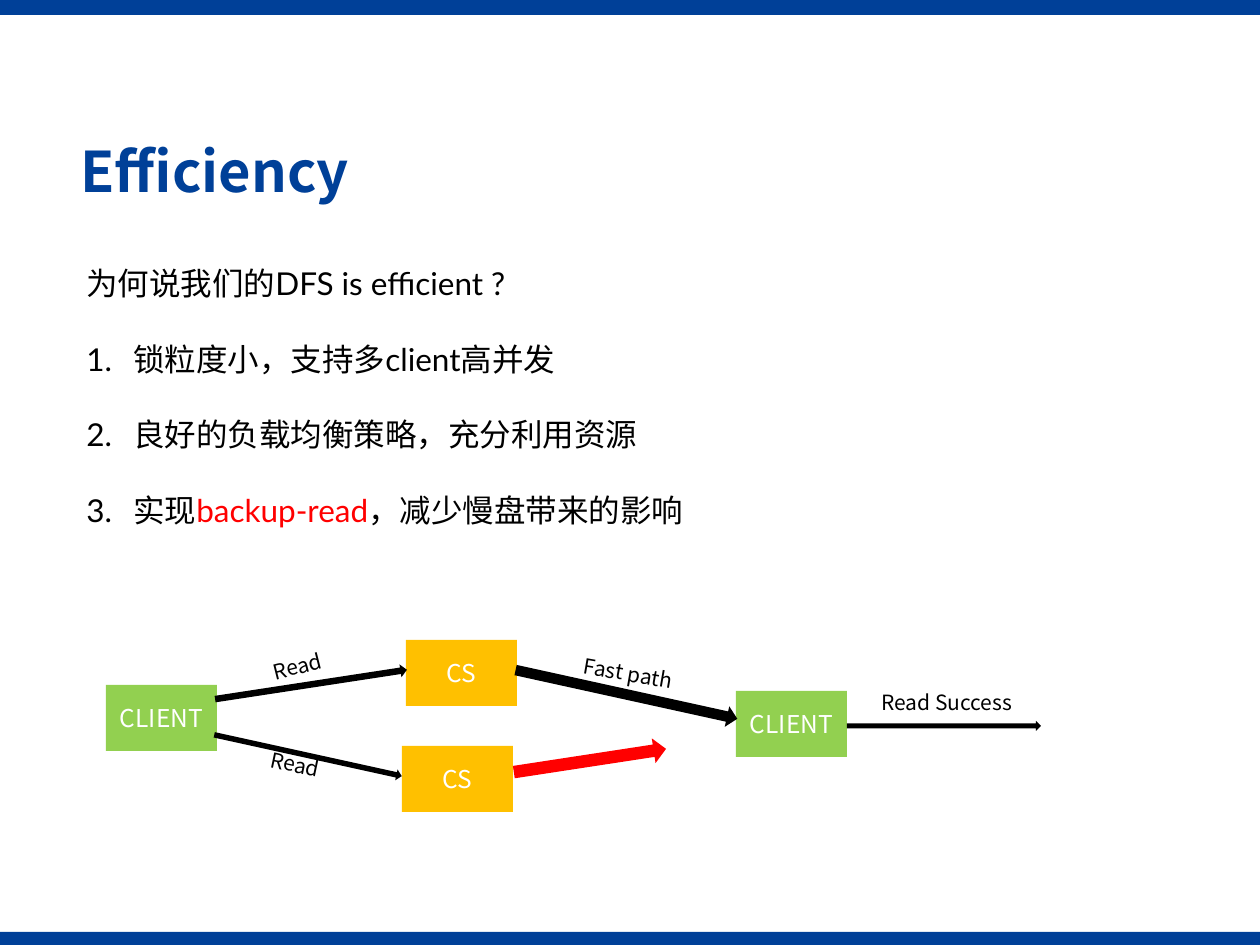
import dataclasses

import lxml.etree
import pptx
import pptx.dml.color
import pptx.enum.shapes
import pptx.enum.text
import pptx.oxml.ns
import pptx.util

PX_PER_INCH = 126


def px(length):
    return pptx.util.Inches(length / PX_PER_INCH)


@dataclasses.dataclass(frozen=True)
class Theme:
    navy: str = "004098"
    black: str = "000000"
    white: str = "FFFFFF"
    red: str = "FF0000"
    green: str = "92D050"
    amber: str = "FFC000"
    heading_font: str = "Noto Sans CJK SC"
    body_font: str = "Lato"
    title_size: int = 32
    body_size: int = 18
    node_size: int = 14
    label_size: int = 12
    body_gap: float = 21.6


class SlideBuilder:
    def __init__(self, slide, theme):
        self.slide = slide
        self.theme = theme

    def style(self, run, font, size, color, bold=False):
        run.font.name = font
        run.font.size = pptx.util.Pt(size)
        run.font.bold = bold
        run.font.color.rgb = pptx.dml.color.RGBColor.from_string(color)

    def block(self, kind, box, fill, rotation=0):
        shape = self.slide.shapes.add_shape(kind, *map(px, box))
        shape.shadow.inherit = False
        shape.fill.solid()
        shape.fill.fore_color.rgb = pptx.dml.color.RGBColor.from_string(fill)
        shape.line.fill.background()
        shape.rotation = rotation
        return shape

    def bar(self, box):
        self.block(pptx.enum.shapes.MSO_SHAPE.RECTANGLE, box, self.theme.navy)

    def arrow(self, box, rotation, fill):
        self.block(pptx.enum.shapes.MSO_SHAPE.RIGHT_ARROW, box, fill, rotation)

    def node(self, left, top, name, fill):
        node = self.block(pptx.enum.shapes.MSO_SHAPE.RECTANGLE,
                          (left, top, 111, 66), fill)
        frame = node.text_frame
        frame.text = name
        frame.vertical_anchor = pptx.enum.text.MSO_ANCHOR.MIDDLE
        frame.paragraphs[0].alignment = pptx.enum.text.PP_ALIGN.CENTER
        self.style(frame.paragraphs[0].runs[0], self.theme.heading_font,
                   self.theme.node_size, self.theme.white)

    def textbox(self, box, rotation=0):
        text = self.slide.shapes.add_textbox(*map(px, box))
        text.rotation = rotation
        text.text_frame.word_wrap = True
        return text.text_frame

    def title(self, box, wording):
        frame = self.textbox(box)
        frame.text = wording
        frame.vertical_anchor = pptx.enum.text.MSO_ANCHOR.MIDDLE
        frame.paragraphs[0].line_spacing = 0.9
        self.style(frame.paragraphs[0].runs[0], self.theme.heading_font,
                   self.theme.title_size, self.theme.navy, bold=True)

    def label(self, box, rotation, wording):
        frame = self.textbox(box, rotation)
        frame.text = wording
        self.style(frame.paragraphs[0].runs[0], self.theme.heading_font,
                   self.theme.label_size, self.theme.black)

    def number(self, paragraph, indent):
        properties = paragraph._p.get_or_add_pPr()
        properties.set("marL", str(px(indent)))
        properties.set("indent", str(-px(indent)))
        lxml.etree.SubElement(properties, pptx.oxml.ns.qn("a:buAutoNum"),
                              type="arabicPeriod")

    def body(self, box, question, reasons):
        frame = self.textbox(box)
        for index, parts in enumerate([question, *reasons]):
            paragraph = frame.add_paragraph() if index else frame.paragraphs[0]
            if index:
                paragraph.space_before = pptx.util.Pt(self.theme.body_gap)
                self.number(paragraph, 47)
            for wording, color in parts:
                run = paragraph.add_run()
                run.text = wording
                self.style(run, self.theme.body_font, self.theme.body_size, color)
                # Chinese glyphs share the body font's line height
                properties = run._r.get_or_add_rPr()
                properties.set("lang", "zh-CN")
                lxml.etree.SubElement(properties, pptx.oxml.ns.qn("a:ea"),
                                      typeface=self.theme.body_font)


def main():
    theme = Theme()
    deck = pptx.Presentation()
    deck.slide_width, deck.slide_height = px(1260), px(945)
    page = SlideBuilder(deck.slides.add_slide(deck.slide_layouts[6]), theme)

    # Frame and title
    page.bar((0, 932, 1260, 13))
    page.bar((0, 0, 1260, 15))
    page.title((68, 135, 1154, 79), "Efficiency")

    # Question and numbered reasons
    page.body(
        (74, 258, 906, 357),
        [("为何说我们的DFS is efficient ?", theme.black)],
        [
            [("锁粒度小，支持多client高并发", theme.black)],
            [("良好的负载均衡策略，充分利用资源", theme.black)],
            [("实现", theme.black), ("backup-read", theme.red),
             ("，减少慢盘带来的影响", theme.black)],
        ],
    )

    # Clients and chunk servers
    for left, top, name, fill in (
        (106, 685, "CLIENT", theme.green),
        (402, 746, "CS", theme.amber),
        (406, 640, "CS", theme.amber),
        (736, 691, "CLIENT", theme.green),
    ):
        page.node(left, top, name, fill)

    # Read paths
    rising, falling = 351.3, 12.4
    for box, rotation, fill in (
        ((214, 678, 194, 13), rising, theme.black),
        ((212, 750, 192, 11), falling, theme.black),
        ((513, 684, 227, 21), falling, theme.black),
        ((513, 748, 154, 25), rising, theme.red),
        ((847, 721, 194, 10), 0, theme.black),
    ):
        page.arrow(box, rotation, fill)

    # Path labels
    for box, rotation, wording in (
        ((260, 644, 100, 38), 345.7, "Read"),
        ((258, 748, 100, 38), 11.9, "Read"),
        ((869, 683, 210, 38), 0, "Read Success"),
        ((571, 656, 136, 38), 9.9, "Fast path"),
    ):
        page.label(box, rotation, wording)

    deck.save("out.pptx")


if __name__ == "__main__":
    main()
